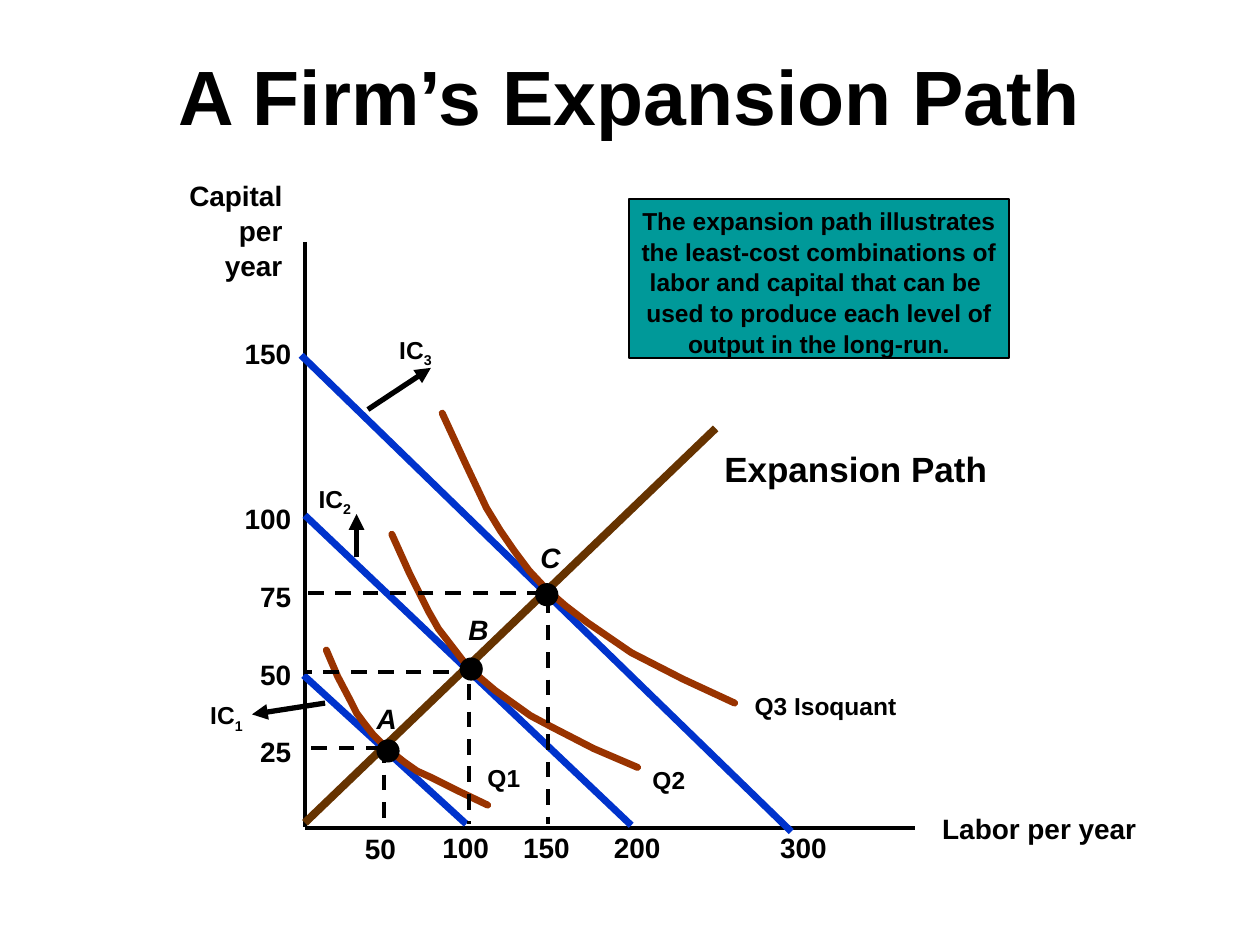
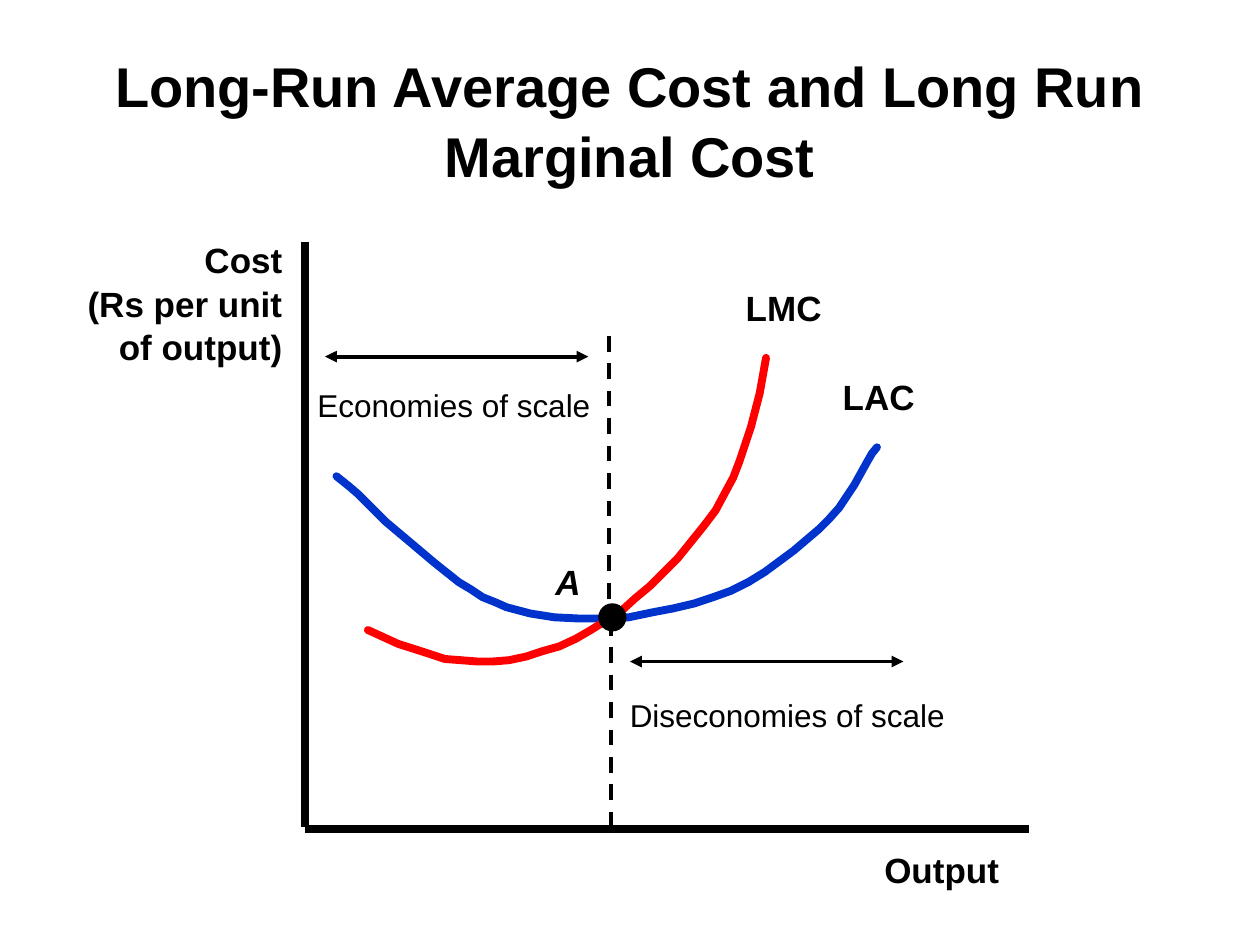
from lxml.etree import SubElement
from pptx import Presentation
from pptx.dml.color import RGBColor as Rgb
from pptx.enum.dml import MSO_LINE as Dash
from pptx.enum.shapes import MSO_CONNECTOR as Conn, MSO_SHAPE as Shape
from pptx.enum.text import MSO_ANCHOR as Anchor, MSO_AUTO_SIZE as Fit, PP_ALIGN as Align
from pptx.oxml.ns import qn
from pptx.util import Cm, Pt

INK = {
    "black": "000000",
    "blue": "0033CC",
    "rust": "993300",
    "brown": "663300",
    "teal": "009999",
    "red": "FF0000",
}
FACE = "Arial"
UNIT = 2.54  # one grid unit in centimetres
LEAD = 1.04  # line spacing


def size(*vals):
    return [Cm(v * UNIT) for v in vals]


class Deck:
    """Holds the style and the current slide."""

    def __init__(self):
        self.file = Presentation()
        self.file.slide_width, self.file.slide_height = size(10, 7.5)
        self.slide = None

    def style(self, para, pts, align, bold=True, slant=False):
        para.alignment = align
        para.line_spacing = LEAD
        font = para.font
        font.name, font.size = FACE, Pt(pts)
        font.bold, font.italic = bold, slant
        font.color.rgb = Rgb.from_string(INK["black"])

    def fill(self, frame, lines, pts, align, bold=True, slant=False):
        """Fill a frame; a line given as a pair ends in a subscript."""
        frame.auto_size = Fit.NONE
        frame.margin_left = frame.margin_right = Cm(0.1 * UNIT)
        frame.margin_top = frame.margin_bottom = Cm(0.05 * UNIT)
        for i, line in enumerate(lines):
            para = frame.add_paragraph() if i else frame.paragraphs[0]
            self.style(para, pts, align, bold, slant)
            word, sub = line if isinstance(line, tuple) else (line, "")
            para.add_run().text = word
            if sub:
                run = para.add_run()
                run.text = sub
                run._r.get_or_add_rPr().set("baseline", "-25000")

    def page(self, title, pts, high):
        self.slide = self.file.slides.add_slide(self.file.slide_layouts[5])
        head = self.slide.shapes.title
        head.left, head.top, head.width, head.height = size(0.5, 0.3, 9, high)
        frame = head.text_frame
        frame.word_wrap = True
        frame.vertical_anchor = Anchor.BOTTOM
        self.fill(frame, [title], pts, Align.CENTER)

    def label(self, box, *lines, pts=16, align=Align.LEFT, bold=True, slant=False):
        frame = self.slide.shapes.add_textbox(*size(*box)).text_frame
        frame.word_wrap = True
        self.fill(frame, lines, pts, align, bold, slant)

    def paint(self, line, ink, pts):
        line.color.rgb = Rgb.from_string(INK[ink])
        line.width = Pt(pts)

    def line(self, start, end, ink="black", pts=2.25, dash=False, ends=()):
        """Draw a straight line; ends lists headEnd and/or tailEnd."""
        rule = self.slide.shapes.add_connector(Conn.STRAIGHT, *size(*start, *end))
        self.paint(rule.line, ink, pts)
        if dash:
            rule.line.dash_style = Dash.DASH
        props = rule._element.spPr
        for tip in ends:
            SubElement(props.find(qn("a:ln")), qn("a:" + tip)).set("type", "triangle")
        SubElement(props, qn("a:effectLst"))

    def curve(self, points, ink, pts):
        first, *rest = [size(*p) for p in points]
        pen = self.slide.shapes.build_freeform(*first)
        pen.add_line_segments(rest, close=False)
        trace = pen.convert_to_shape()
        trace.shadow.inherit = False
        trace.fill.background()
        self.paint(trace.line, ink, pts)
        edge = trace._element.spPr.find(qn("a:ln"))
        edge.set("cap", "rnd")
        SubElement(edge, qn("a:round"))

    def solid(self, kind, box, ink):
        body = self.slide.shapes.add_shape(kind, *size(*box))
        body.shadow.inherit = False
        body.fill.solid()
        body.fill.fore_color.rgb = Rgb.from_string(INK[ink])
        self.paint(body.line, "black", 1)
        return body

    def dot(self, x, y, wide):
        self.solid(Shape.OVAL, (x - wide / 2, y - wide / 2, wide, wide), "black")

    def note(self, box, *lines):
        frame = self.solid(Shape.RECTANGLE, box, "teal").text_frame
        frame.word_wrap = False
        frame.vertical_anchor = Anchor.TOP
        self.fill(frame, lines, 14, Align.CENTER)

    def axes(self, right, low, pts):
        self.line((2.42, 1.92), (2.42, 6.56), pts=pts)
        self.line((2.42, low), (right, low), pts=pts)


def expand(deck):
    deck.page("A Firm’s Expansion Path", 44, 0.87)

    # Axes and their ticks
    deck.axes(7.26, 6.57, 2)
    deck.label((7.38, 6.38, 1.9, 0.36), "Labor per year")
    deck.label((1.2, 1.36, 1.14, 0.9), "Capital", "per", "year", align=Align.RIGHT)
    for mark, top in (("25", 5.77), ("50", 5.16), ("75", 4.54),
                      ("100", 3.92), ("150", 2.61)):
        deck.label((1.71, top, 0.7, 0.36), mark, align=Align.RIGHT)
    for mark, right, top in (("50", 3.24, 6.54), ("100", 3.98, 6.53),
                             ("150", 4.62, 6.53), ("200", 5.34, 6.53),
                             ("300", 6.66, 6.53)):
        deck.label((right - 0.7, top, 0.7, 0.36), mark, align=Align.RIGHT)

    # Expansion path
    deck.line((2.42, 6.53), (5.68, 3.4), "brown", 4.5)
    deck.label((5.65, 3.49, 2.4, 0.43), "Expansion Path", pts=20)
    deck.note((4.99, 1.58, 3.02, 1.26),
              "The expansion path illustrates",
              "the least-cost combinations of",
              "labor and capital that can be ",
              "used to produce each level of",
              "output in the long-run.")

    # Each output: cost line, isoquant, dot, dashed guides, letter
    plans = [
        ("A", (2.89, 5.51), (3.08, 5.96), ((2.41, 5.36), (3.7, 6.54)),
         ((3.03, 5.94), (2.41, 5.94)), ((3.05, 5.93), (3.05, 6.54)),
         [(2.59, 5.16), (2.68, 5.37), (2.78, 5.56), (2.83, 5.66), (2.89, 5.74),
          (2.96, 5.83), (3.04, 5.91), (3.12, 5.98), (3.21, 6.05), (3.31, 6.12),
          (3.42, 6.17), (3.64, 6.28), (3.87, 6.39)]),
        ("B", (3.62, 4.8), (3.74, 5.31), ((2.42, 4.09), (5.01, 6.55)),
         ((3.78, 5.33), (2.41, 5.33)), ((3.72, 5.43), (3.72, 6.54)),
         [(3.11, 4.24), (3.25, 4.55), (3.4, 4.85), (3.48, 4.99), (3.58, 5.12),
          (3.68, 5.25), (3.8, 5.37), (3.93, 5.48), (4.07, 5.58), (4.21, 5.68),
          (4.38, 5.77), (4.71, 5.94), (5.06, 6.09)]),
        ("C", (4.19, 4.23), (4.34, 4.72), ((2.39, 2.82), (6.28, 6.6)),
         ((4.31, 4.71), (2.37, 4.71)), ((4.35, 4.74), (4.35, 6.54)),
         [(3.51, 3.28), (3.69, 3.67), (3.86, 4.03), (3.97, 4.21), (4.08, 4.37),
          (4.2, 4.53), (4.34, 4.68), (4.49, 4.81), (4.66, 4.94), (5.01, 5.18),
          (5.42, 5.39), (5.83, 5.58)]),
    ]
    for name, spot, point, cost, across, down, quant in plans:
        deck.line(*cost, "blue", 4)
        deck.curve(quant, "rust", 4)
        deck.line(*across, dash=True)
        deck.line(*down, dash=True)
        deck.dot(*point, 0.17)
        deck.label((*spot, 0.4, 0.36), name, slant=True)

    # Curve names
    for text, left, top in (("Q1", 3.77, 6), ("Q2", 5.08, 6.01),
                            ("Q3 Isoquant", 5.89, 5.43),
                            (("IC", "1"), 1.57, 5.5), (("IC", "2"), 2.43, 3.78),
                            (("IC", "3"), 3.07, 2.6)):
        deck.label((left, top, 1.45, 0.34), text, pts=14)
    for start, end in (((2.58, 5.58), (2, 5.67)), ((2.92, 3.25), (3.42, 2.92)),
                       ((2.83, 4.42), (2.83, 4.08))):
        deck.line(start, end, pts=3, ends=["tailEnd"])


def costs(deck):
    deck.page("Long-Run Average Cost and Long Run Marginal Cost", 32, 1.25)

    # Axes
    deck.axes(8.17, 6.58, 4.5)
    deck.label((6.92, 6.67, 1.2, 0.43), "Output", pts=20)
    deck.label((0.4, 1.83, 1.94, 1.1), "Cost", "(Rs per unit", "of output)",
               pts=20, align=Align.RIGHT)

    # Cost curves
    deck.curve([(2.67, 3.78), (2.72, 3.82), (2.77, 3.86), (2.84, 3.92), (2.9, 3.98),
                (3.06, 4.14), (3.25, 4.3), (3.44, 4.46), (3.64, 4.62), (3.74, 4.68),
                (3.83, 4.74), (3.93, 4.78), (4.02, 4.82), (4.21, 4.87), (4.4, 4.9),
                (4.6, 4.91), (4.79, 4.91), (4.99, 4.9), (5.18, 4.86), (5.34, 4.83),
                (5.51, 4.79), (5.66, 4.74), (5.8, 4.69), (5.94, 4.62), (6.07, 4.54),
                (6.3, 4.37), (6.5, 4.2), (6.58, 4.12), (6.66, 4.03), (6.78, 3.85),
                (6.83, 3.76), (6.88, 3.67), (6.92, 3.6), (6.96, 3.55)], "blue", 4.5)
    deck.curve([(2.92, 5), (3.16, 5.11), (3.41, 5.19), (3.53, 5.23), (3.66, 5.24),
                (3.79, 5.25), (3.91, 5.25), (4.04, 5.24), (4.18, 5.21), (4.3, 5.17),
                (4.44, 5.13), (4.57, 5.07), (4.69, 5), (4.93, 4.85), (5.04, 4.75),
                (5.16, 4.65), (5.27, 4.54), (5.38, 4.43), (5.59, 4.17), (5.68, 4.05),
                (5.75, 3.92), (5.82, 3.79), (5.87, 3.66), (5.96, 3.39), (6.03, 3.12),
                (6.08, 2.84)], "red", 4.5)
    deck.label((6.59, 2.92, 0.9, 0.43), "LAC", pts=20)
    deck.label((5.82, 2.21, 0.9, 0.43), "LMC", pts=20)

    # Lowest average cost
    deck.line((4.85, 4.92), (4.85, 6.6), dash=True)
    deck.line((4.83, 4.75), (4.83, 2.67), dash=True)
    deck.dot(4.86, 4.9, 0.21)
    deck.label((4.31, 4.39, 0.45, 0.43), "A", pts=20, slant=True)

    # Ranges of scale
    for text, left, top, start, end, y in (
            ("Economies of scale", 2.42, 3, 2.58, 4.67, 2.83),
            ("Diseconomies of scale", 4.9, 5.46, 5, 7.17, 5.25)):
        deck.line((start, y), (end, y), ends=["headEnd", "tailEnd"])
        deck.label((left, top, 2.9, 0.4), text, pts=18, bold=False)


def main():
    deck = Deck()
    expand(deck)
    costs(deck)
    deck.file.save("out.pptx")


if __name__ == "__main__":
    main()
